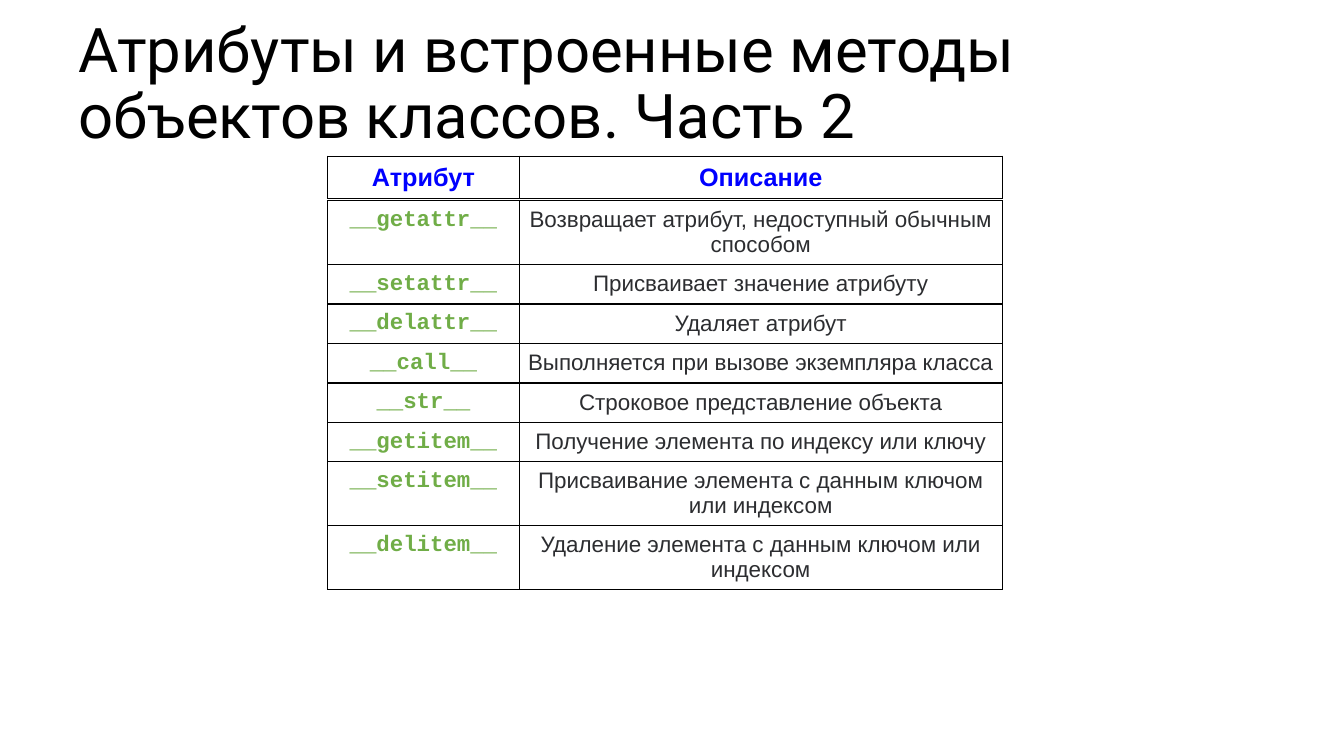
from lxml.etree import SubElement
from pptx import Presentation
from pptx.dml.color import RGBColor
from pptx.enum.text import MSO_ANCHOR as Anchor, MSO_AUTO_SIZE as AutoSize, PP_ALIGN as Align
from pptx.oxml.ns import qn
from pptx.util import Inches, Pt

# Content
TITLE = "Атрибуты и встроенные методы объектов классов. Часть 2"
HEADINGS = [("Атрибут", "Описание")]
METHODS = [
    ("__getattr__", "Возвращает атрибут, недоступный обычным способом"),
    ("__setattr__", "Присваивает значение атрибуту"),
    ("__delattr__", "Удаляет атрибут"),
    ("__call__", "Выполняется при вызове экземпляра класса"),
    ("__str__", "Строковое представление объекта"),
    ("__getitem__", "Получение элемента по индексу или ключу"),
    ("__setitem__", "Присваивание элемента с данным ключом или индексом"),
    ("__delitem__", "Удаление элемента с данным ключом или индексом"),
]

# Colours and text styles: font, size, colour, bold
BLACK = RGBColor(0x00, 0x00, 0x00)
BLUE = RGBColor(0x00, 0x00, 0xFF)
GREEN = RGBColor(0x70, 0xAD, 0x47)
GRAPHITE = RGBColor(0x2C, 0x2D, 0x30)
HEADING = ("Arial", 18, BLUE, True)
METHOD = ("Courier New", 16, GREEN, True)
DESCRIPTION = ("Arial", 16, GRAPHITE, False)

# Layout in inches
LEFT = 3.25
COLUMNS = (1.9, 4.79)
HEADING_TOP, METHODS_TOP = 1.55, 1.99
HEADING_HEIGHT, ONE_LINE, TWO_LINES = 0.42, 0.39, 0.635
LINE_LIMIT = 42
PADDING = Inches(0.07)


def style(paragraph, font_name, size, colour, bold):
    font = paragraph.font
    font.name, font.size, font.bold = font_name, Pt(size), bold
    font.color.rgb = colour


def add_borders(cell):
    properties = cell._tc.get_or_add_tcPr()
    for position, side in enumerate(("lnL", "lnR", "lnT", "lnB")):
        line = SubElement(properties, qn(f"a:{side}"), w=str(Pt(1)))
        fill = SubElement(line, qn("a:solidFill"))
        SubElement(fill, qn("a:srgbClr"), val=str(BLACK))
        properties.insert(position, line)


def add_grid(slide, top, rows, heights, styles):
    frame = slide.shapes.add_table(
        len(rows), len(COLUMNS), Inches(LEFT), Inches(top),
        Inches(sum(COLUMNS)), Inches(sum(heights)))
    grid = frame.table
    grid.first_row = grid.horz_banding = False
    for column, width in zip(grid.columns, COLUMNS):
        column.width = Inches(width)
    for row, height, texts in zip(grid.rows, heights, rows):
        row.height = Inches(height)
        for cell, text, look in zip(row.cells, texts, styles):
            cell.text = text
            cell.margin_left = cell.margin_right = PADDING
            cell.margin_top = cell.margin_bottom = PADDING
            cell.fill.background()
            add_borders(cell)
            paragraph = cell.text_frame.paragraphs[0]
            paragraph.alignment = Align.CENTER
            style(paragraph, *look)


def main():
    deck = Presentation()
    deck.slide_width, deck.slide_height = Inches(13.33), Inches(7.5)
    slide = deck.slides.add_slide(deck.slide_layouts[5])

    # Title
    title = slide.shapes.title
    title.left, title.top = Inches(0.68), Inches(0.7)
    title.width, title.height = Inches(11.82), Inches(0.86)
    title.text = TITLE
    title.text_frame.auto_size = AutoSize.NONE
    title.text_frame.vertical_anchor = Anchor.BOTTOM
    heading = title.text_frame.paragraphs[0]
    heading.alignment = Align.LEFT
    heading.line_spacing = 0.9
    style(heading, "Roboto", 44, BLACK, False)

    # Heading strip and the methods below it
    add_grid(slide, HEADING_TOP, HEADINGS, [HEADING_HEIGHT], [HEADING, HEADING])
    heights = [TWO_LINES if len(description) > LINE_LIMIT else ONE_LINE
               for _, description in METHODS]
    add_grid(slide, METHODS_TOP, METHODS, heights, [METHOD, DESCRIPTION])

    deck.save("out.pptx")


if __name__ == "__main__":
    main()
